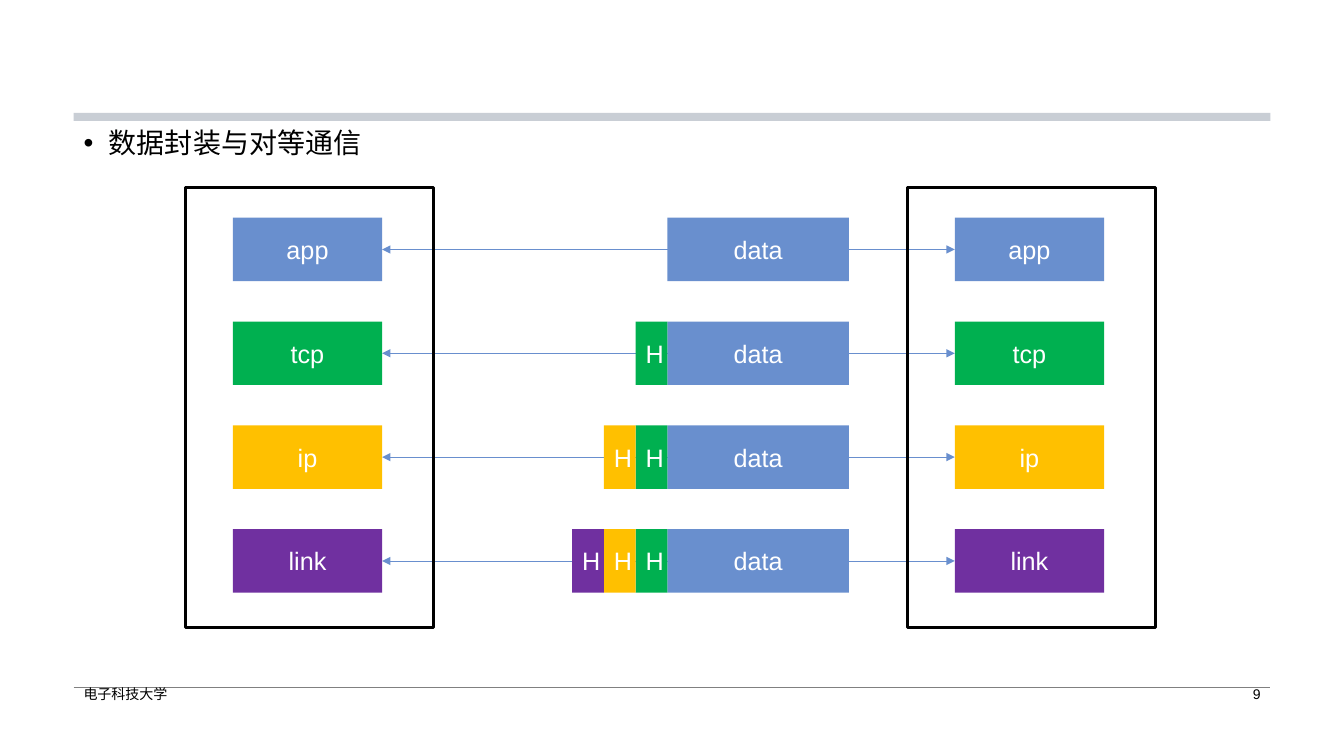
from dataclasses import dataclass
from typing import NamedTuple

from lxml.etree import SubElement
from pptx import Presentation
from pptx.dml.color import RGBColor
from pptx.enum.shapes import MSO_CONNECTOR as Connector, MSO_SHAPE as Shape
from pptx.enum.text import MSO_ANCHOR as Anchor, PP_ALIGN as Align
from pptx.oxml.ns import qn
from pptx.util import Inches, Pt


@dataclass(frozen=True)
class Theme:
    font: str = "Arial"
    black: str = "000000"
    white: str = "FFFFFF"
    band: str = "C9CED5"
    rule: str = "808080"
    blue: str = "698FCE"
    green: str = "00B050"
    amber: str = "FFC000"
    purple: str = "7030A0"
    body_size: int = 20
    label_size: int = 18
    footer_size: int = 10


class Box(NamedTuple):
    left: float
    top: float
    width: float
    height: float

    def inches(self):
        return [Inches(value) for value in self]


THEME = Theme()
LAYERS = [("app", THEME.blue), ("tcp", THEME.green),
          ("ip", THEME.amber), ("link", THEME.purple)]


def style_text(para, size, color, align=Align.LEFT):
    para.alignment = align
    para.font.name = THEME.font
    para.font.size = Pt(size)
    para.font.color.rgb = RGBColor.from_string(color)


def add_rectangle(page, box, fill=None, label=None):
    rectangle = page.shapes.add_shape(Shape.RECTANGLE, *box.inches())
    rectangle.shadow.inherit = False
    if fill:
        rectangle.fill.solid()
        rectangle.fill.fore_color.rgb = RGBColor.from_string(fill)
        rectangle.line.fill.background()
    else:
        rectangle.fill.background()
        rectangle.line.color.rgb = RGBColor.from_string(THEME.black)
        rectangle.line.width = Pt(2.25)
    if label:
        rectangle.text_frame.text = label
        rectangle.text_frame.vertical_anchor = Anchor.MIDDLE
        style_text(rectangle.text_frame.paragraphs[0], THEME.label_size,
                   THEME.white, Align.CENTER)


def add_line(page, left, right, y, color, arrows=False):
    line = page.shapes.add_connector(
        Connector.STRAIGHT, Inches(left), Inches(y), Inches(right), Inches(y))
    line.line.color.rgb = RGBColor.from_string(color)
    line.line.width = Pt(0.5)
    if arrows:
        outline = line.line._get_or_add_ln()
        for end in ("a:headEnd", "a:tailEnd"):
            SubElement(outline, qn(end), type="triangle")
    SubElement(line._element.spPr, qn("a:effectLst"))


def add_body(page, box, text):
    body = page.placeholders[1]
    body.left, body.top, body.width, body.height = box.inches()
    body.text_frame.text = text
    para = body.text_frame.paragraphs[0]
    para.line_spacing = 0.9
    para.space_before = Pt(10)
    style_text(para, THEME.body_size, THEME.black)
    properties = para._p.get_or_add_pPr()
    properties.set("marL", str(Inches(0.25)))
    properties.set("indent", str(Inches(-0.25)))


def add_footer(page, box, owner, number):
    add_line(page, box.left, box.left + box.width, box.top + 0.05, THEME.rule)
    half = box.width / 2
    parts = [(owner, box.left, Align.LEFT), (number, box.left + half, Align.RIGHT)]
    for text, left, align in parts:
        part = page.shapes.add_textbox(*Box(left, box.top, half, box.height).inches())
        part.text_frame.word_wrap = True
        part.text_frame.vertical_anchor = Anchor.MIDDLE
        part.text_frame.text = text
        style_text(part.text_frame.paragraphs[0], THEME.footer_size, THEME.black, align)


def add_layer_row(page, box, index):
    name, color = LAYERS[index]
    host_width, data_width = 1.48, 1.8
    header_width = box.height / 2
    data_left = box.left + 4.31
    right_host = box.left + box.width - host_width
    add_line(page, box.left + host_width, right_host,
             box.top + box.height / 2, THEME.blue, arrows=True)
    for left in (box.left, right_host):
        add_rectangle(page, Box(left, box.top, host_width, box.height), color, name)
    add_rectangle(page, Box(data_left, box.top, data_width, box.height),
                  THEME.blue, "data")
    for position, (_, header_color) in enumerate(LAYERS[1:index + 1], start=1):
        left = data_left - position * header_width
        add_rectangle(page, Box(left, box.top, header_width, box.height),
                      header_color, "H")


def add_encapsulation(page, box):
    frame_width, margin, pitch = 2.46, 0.47, 1.03
    for index in range(len(LAYERS)):
        row = Box(box.left + margin, box.top + 0.3 + index * pitch,
                  box.width - margin - 0.51, 0.63)
        add_layer_row(page, row, index)
    for left in (box.left, box.left + box.width - frame_width):
        add_rectangle(page, Box(left, box.top, frame_width, box.height))


def main():
    deck = Presentation()
    deck.slide_width, deck.slide_height = Inches(13.33), Inches(7.5)
    page = deck.slides.add_slide(deck.slide_layouts[1])
    title = page.shapes.title._element
    title.getparent().remove(title)
    add_rectangle(page, Box(0.73, 1.12, 11.87, 0.08), THEME.band)
    add_body(page, Box(0.73, 1.23, 11.87, 5.49), "数据封装与对等通信")
    add_footer(page, Box(0.73, 6.77, 11.87, 0.23), "电子科技大学", "9")
    add_encapsulation(page, Box(1.84, 1.86, 9.62, 4.37))
    deck.save("out.pptx")


if __name__ == "__main__":
    main()
